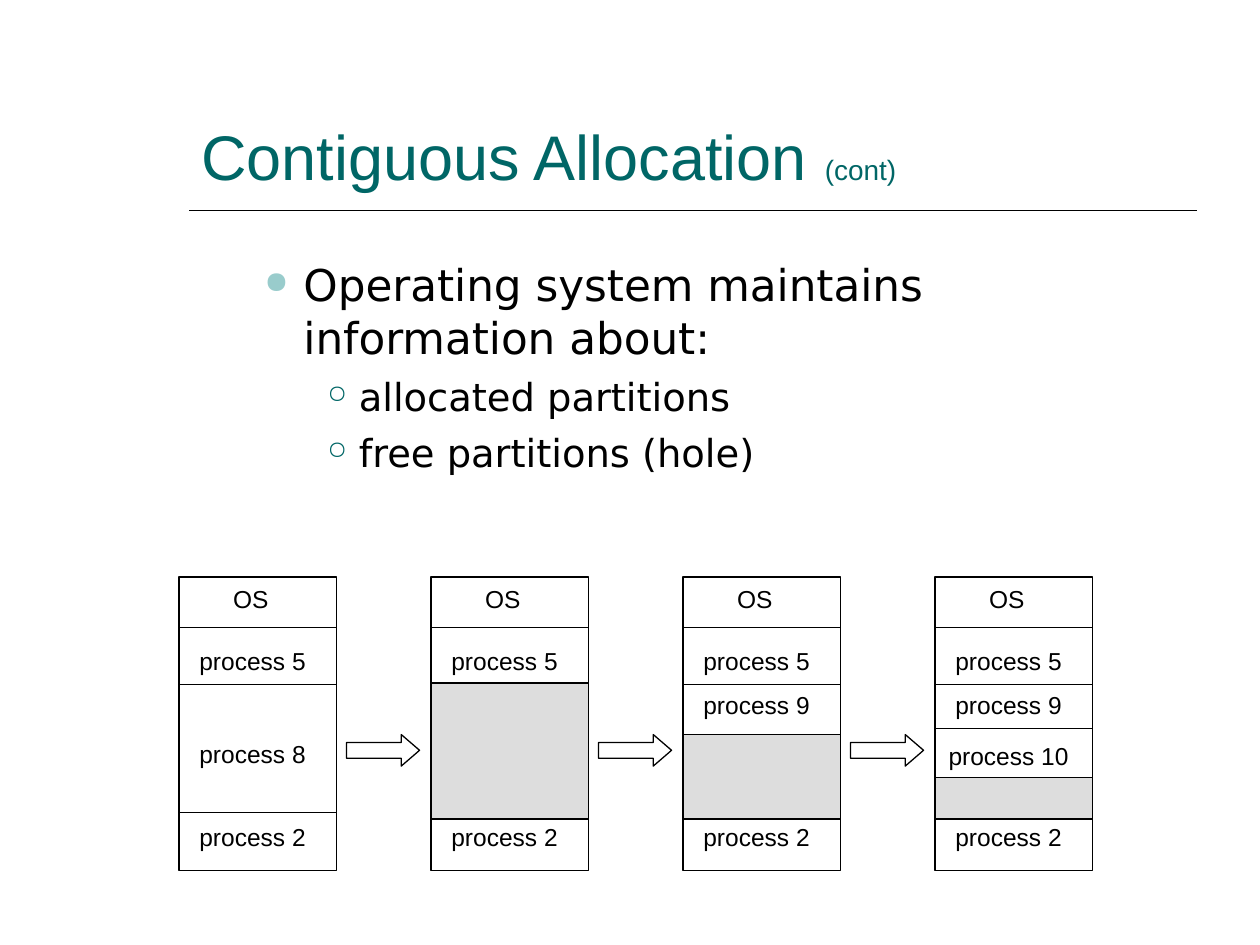
from lxml.etree import SubElement
from pptx import Presentation
from pptx.dml.color import RGBColor
from pptx.enum.shapes import MSO_CONNECTOR, MSO_SHAPE
from pptx.enum.text import MSO_ANCHOR, MSO_AUTO_SIZE, PP_ALIGN
from pptx.oxml.ns import qn
from pptx.util import Inches, Pt

COLORS = {
    "teal": "006666",
    "pale_teal": "99CCCC",
    "black": "000000",
    "white": "FFFFFF",
    "hole": "DDDDDD",
}

BULLETS = {
    1: {"char": "●", "color": "pale_teal", "percent": 70,
        "margin": 0.81, "indent": -0.31, "size": 25, "before": 0},
    2: {"char": "○", "color": "teal", "percent": 65,
        "margin": 1.25, "indent": -0.25, "size": 22, "before": 5.5},
}
BODY = [
    (1, "Operating system maintains information about:"),
    (2, "allocated partitions"),
    (2, "free partitions (hole)"),
]

MEMORY_LEFT, MEMORY_TOP, MEMORY_WIDTH, MEMORY_HEIGHT = 1.42, 4.58, 1.25, 2.33
MEMORY_STEP = 2
HOLE_BOTTOM = 6.5
LABEL_HEIGHT = 0.34
COMMON_LABELS = {"process 5": 5.07, "process 2": 6.47}
# Each state has its divider heights, its own process labels and the top of its hole.
STATES = [
    {"dividers": [4.98, 5.43, 6.45], "labels": {"process 8": 5.81}, "hole": None},
    {"dividers": [4.98], "labels": {}, "hole": 5.42},
    {"dividers": [4.98, 5.43], "labels": {"process 9": 5.42}, "hole": 5.83},
    {"dividers": [4.98, 5.43, 5.78],
     "labels": {"process 9": 5.42, "process 10": 5.83}, "hole": 6.17},
]


def color(name):
    return RGBColor.from_string(COLORS[name])


def add_text_box(page, left, top, width, height, **frame_format):
    box = page.shapes.add_textbox(Inches(left), Inches(top), Inches(width), Inches(height))
    settings = {"word_wrap": True, "auto_size": MSO_AUTO_SIZE.NONE, **frame_format}
    for name, value in settings.items():
        setattr(box.text_frame, name, value)
    return box.text_frame


def add_span(para, text, size, font_name, color_name):
    span = para.add_run()
    span.text = text
    for name, value in {"size": Pt(size), "name": font_name}.items():
        setattr(span.font, name, value)
    span.font.color.rgb = color(color_name)


def add_line(page, left, right, height, weight=0.75):
    line = page.shapes.add_connector(
        MSO_CONNECTOR.STRAIGHT, Inches(left), Inches(height), Inches(right), Inches(height))
    line.line.color.rgb = color("black")
    line.line.width = Pt(weight)
    SubElement(line._element.spPr, qn("a:effectLst"))


def add_outlined_shape(page, kind, left, top, width, height, fill="white"):
    shape = page.shapes.add_shape(
        kind, Inches(left), Inches(top), Inches(width), Inches(height))
    shape.shadow.inherit = False
    shape.fill.solid()
    shape.fill.fore_color.rgb = color(fill)
    shape.line.color.rgb = color("black")
    shape.line.width = Pt(0.75)
    return shape


def add_title(page):
    frame = add_text_box(page, 1.5, 0.33, 8, 1.25, vertical_anchor=MSO_ANCHOR.BOTTOM)
    para = frame.paragraphs[0]
    add_span(para, "Contiguous Allocation ", 36, "Arial", "teal")
    add_span(para, "(cont)", 16, "Arial", "teal")
    add_line(page, 1.5, 9.5, 1.67, weight=1)


def set_bullet(para, style):
    properties = para._p.get_or_add_pPr()
    properties.set("marL", str(Inches(style["margin"])))
    properties.set("indent", str(Inches(style["indent"])))
    bullet_color = SubElement(properties, qn("a:buClr"))
    SubElement(bullet_color, qn("a:srgbClr"), val=COLORS[style["color"]])
    SubElement(properties, qn("a:buSzPct"), val=str(style["percent"] * 1000))
    SubElement(properties, qn("a:buChar"), char=style["char"])


def add_body(page):
    frame = add_text_box(page, 1.5, 2, 8, 4.5)
    for index, (level, text) in enumerate(BODY):
        para = frame.add_paragraph() if index else frame.paragraphs[0]
        style = BULLETS[level]
        para.level = level - 1
        set_bullet(para, style)
        para.space_before = Pt(style["before"])
        add_span(para, text, style["size"], "DejaVu Sans", "black")


def add_label(page, text, left, top, width, wrap=True):
    frame = add_text_box(
        page, left, top, width, LABEL_HEIGHT, word_wrap=wrap,
        auto_size=MSO_AUTO_SIZE.SHAPE_TO_FIT_TEXT, vertical_anchor=MSO_ANCHOR.MIDDLE)
    para = frame.paragraphs[0]
    para.alignment = PP_ALIGN.CENTER
    add_span(para, text, 14, "Arial", "black")


def add_memory(page, left, state):
    """Draw one memory state: its frame, dividers, hole and labels."""
    add_outlined_shape(
        page, MSO_SHAPE.RECTANGLE, left, MEMORY_TOP, MEMORY_WIDTH, MEMORY_HEIGHT)
    for height in state["dividers"]:
        add_line(page, left, left + MEMORY_WIDTH, height)
    if state["hole"]:
        add_outlined_shape(page, MSO_SHAPE.RECTANGLE, left, state["hole"],
                           MEMORY_WIDTH, HOLE_BOTTOM - state["hole"], "hole")
    add_label(page, "OS", left + 0.33, MEMORY_TOP, 0.48, wrap=False)
    for text, top in {**COMMON_LABELS, **state["labels"]}.items():
        add_label(page, text, left, top, 1.17)


def add_step_arrow(page, left):
    arrow = add_outlined_shape(page, MSO_SHAPE.RIGHT_ARROW, left, 5.83, 0.58, 0.25)
    arrow.adjustments[0] = 0.5
    arrow.adjustments[1] = 0.58


def main():
    deck = Presentation()
    deck.slide_width, deck.slide_height = Inches(10), Inches(7.5)
    page = deck.slides.add_slide(deck.slide_layouts[6])
    add_title(page)
    add_body(page)
    for index, state in enumerate(STATES):
        left = MEMORY_LEFT + index * MEMORY_STEP
        add_memory(page, left, state)
        if index:
            add_step_arrow(page, left - 0.67)
    deck.save("out.pptx")


if __name__ == "__main__":
    main()
